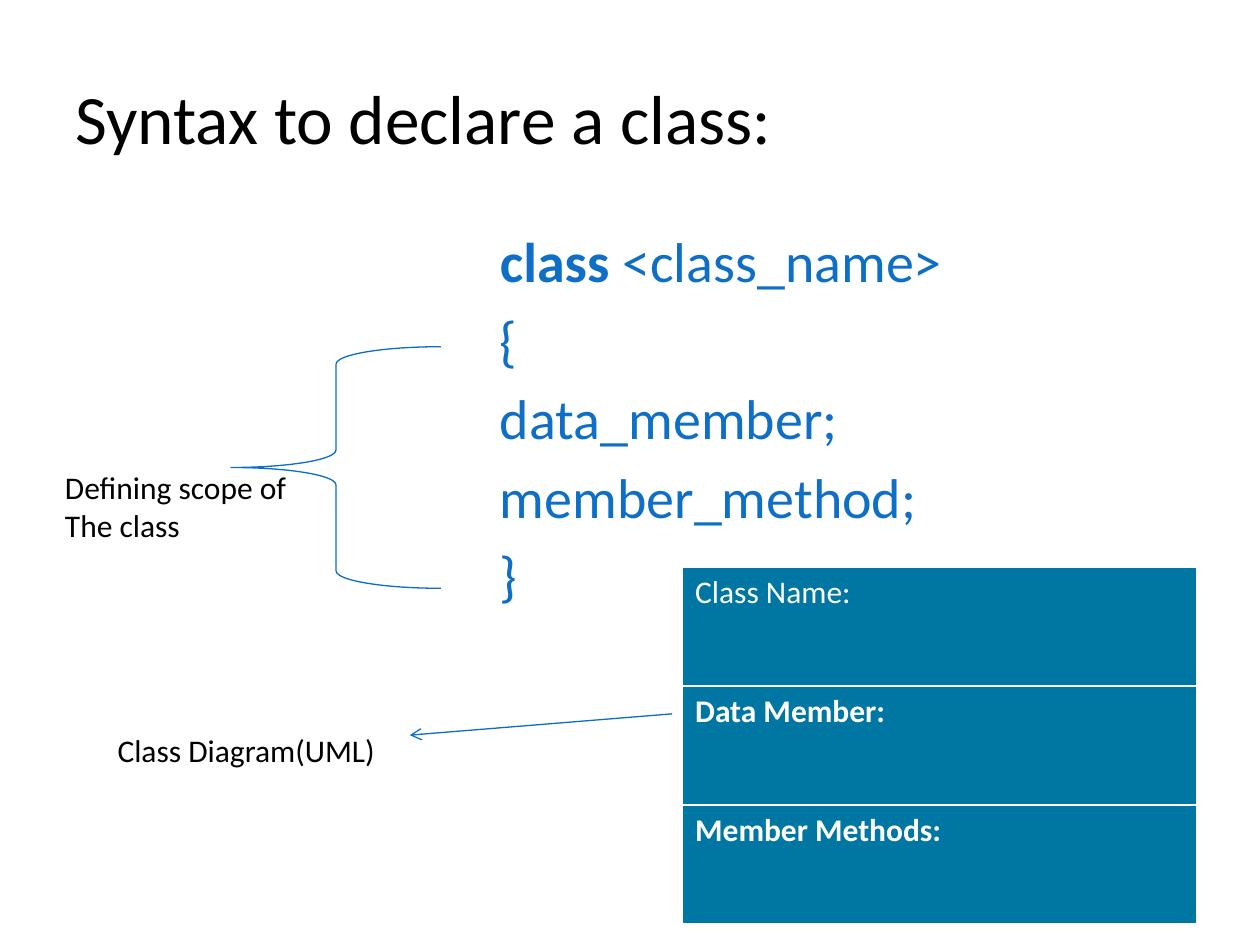
"""Build a slide that shows the syntax of a class and its class diagram."""
from dataclasses import dataclass

from lxml.etree import SubElement
from pptx import Presentation
from pptx.dml.color import RGBColor
from pptx.enum.shapes import MSO_CONNECTOR, MSO_SHAPE
from pptx.enum.text import MSO_ANCHOR
from pptx.oxml.ns import qn
from pptx.util import Cm, Pt


@dataclass(frozen=True)
class Theme:
    font: str = "Calibri"
    ink: str = "000000"
    code: str = "0F6FC6"
    line: str = "0A6DC6"
    cell: str = "0076A3"
    light: str = "FFFFFF"
    title_size: float = 39.6
    code_size: float = 32
    label_size: float = 18
    line_width: float = 0.75


THEME = Theme()


def write_span(para, text, size=THEME.label_size, color=THEME.ink, bold=False):
    span = para.add_run()
    span.text = text
    span.font.name = THEME.font
    span.font.size = Pt(size)
    span.font.bold = bold
    span.font.color.rgb = RGBColor.from_string(color)


def add_text(page, text, left, top, width, height, wrap=True,
             anchor=MSO_ANCHOR.TOP, space_before=0, keyword="", **style):
    box = page.shapes.add_textbox(Cm(left), Cm(top), Cm(width), Cm(height))
    frame = box.text_frame
    frame.word_wrap = wrap
    frame.vertical_anchor = anchor
    for index, line in enumerate(text.split("\n")):
        para = frame.add_paragraph() if index else frame.paragraphs[0]
        para.space_before = Pt(space_before if index else 0)
        if keyword and line.startswith(keyword):
            write_span(para, keyword, bold=True, **style)
            line = line[len(keyword):]
        write_span(para, line, **style)


def style_line(shape):
    shape.line.color.rgb = RGBColor.from_string(THEME.line)
    shape.line.width = Pt(THEME.line_width)


def add_brace(page, left, top, width, height):
    brace = page.shapes.add_shape(
        MSO_SHAPE.LEFT_BRACE, Cm(left), Cm(top), Cm(width), Cm(height))
    brace.shadow.inherit = False
    brace.fill.background()
    style_line(brace)


def add_arrow(page, start, end):
    arrow = page.shapes.add_connector(
        MSO_CONNECTOR.STRAIGHT, *map(Cm, start), *map(Cm, end))
    style_line(arrow)
    SubElement(arrow.line._get_or_add_ln(), qn("a:tailEnd"), type="arrow")
    SubElement(arrow._element.spPr, qn("a:effectLst"))


def add_class_diagram(page, rows, left, top, width, row_height):
    table = page.shapes.add_table(
        len(rows), 1, Cm(left), Cm(top), Cm(width), Cm(row_height * len(rows))).table
    for index, (text, bold) in enumerate(rows):
        cell = table.cell(index, 0)
        cell.fill.solid()
        cell.fill.fore_color.rgb = RGBColor.from_string(THEME.cell)
        write_span(cell.text_frame.paragraphs[0], text, color=THEME.light, bold=bold)


def main():
    deck = Presentation()
    deck.slide_width, deck.slide_height = Cm(25.4), Cm(19.05)
    page = deck.slides.add_slide(deck.slide_layouts[6])
    add_text(page, "Syntax to declare a class:", 1.27, 0.76, 22.86, 3.18,
             anchor=MSO_ANCHOR.MIDDLE, size=THEME.title_size)
    add_text(page, "class <class_name>\n{\ndata_member;\nmember_method;\n}",
             9.83, 4.45, 14.3, 8.2, space_before=6.4, keyword="class",
             size=THEME.code_size, color=THEME.code)
    add_brace(page, 4.66, 6.99, 4.23, 4.87)
    add_text(page, "Defining scope of\nThe class", 1.06, 9.31, 5.02, 1.8, wrap=False)
    add_class_diagram(
        page, [("Class Name:", False), ("Data Member:", True), ("Member Methods:", True)],
        13.76, 11.43, 10.37, 2.4)
    add_arrow(page, (13.55, 14.39), (8.26, 14.82))
    add_text(page, "Class Diagram(UML)", 2.12, 14.61, 6.04, 1.02)
    deck.save("out.pptx")


if __name__ == "__main__":
    main()
